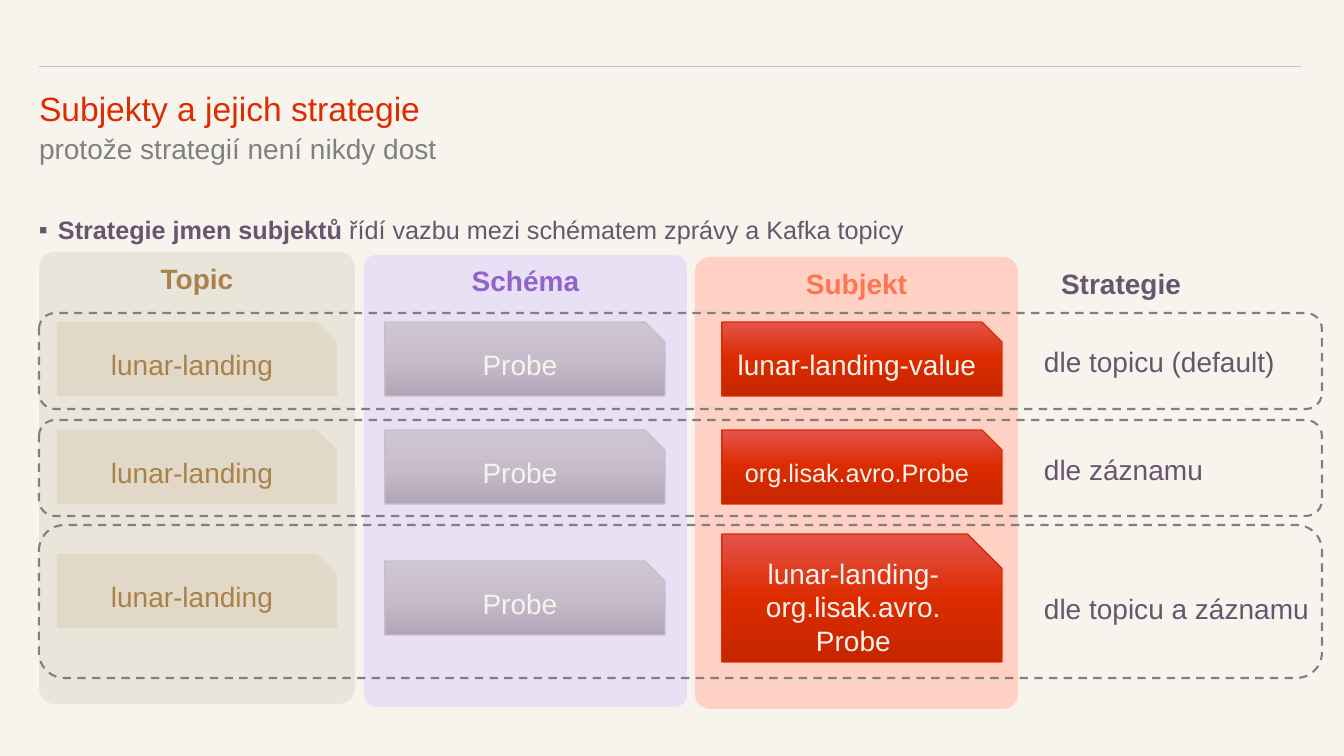
"""Build the slide on subject naming strategies."""
import copy
import pptx
import pptx.util
import pptx.dml.color
import pptx.enum.dml
import pptx.enum.shapes
import pptx.enum.text
import pptx.oxml
import pptx.oxml.ns

PAPER, INK, GREY, RED = "F7F3ED", "67566E", "808080", "DD2C00"
TITLE = [("Subjekty a jejich strategie", 24, RED),
         ("protože strategií není nikdy dost", 20, GREY)]
POINT = [("Strategie jmen subjektů", True),
         (" řídí vazbu mezi schématem zprávy a Kafka topicy", False)]
COLS = [
    dict(name="Topic", box=(39, 252, 316, 452), adj=0.05, ink="A8824A", fill="CFC5B4", alpha=30),
    dict(name="Schéma", box=(364, 255, 323, 452), adj=0.038, ink="9064CB", fill="E8E0F4"),
    dict(name="Subjekt", box=(695, 257, 323, 452), adj=0.046, ink="FF7452", fill="FFD1C5"),
]
CHIPS = [
    dict(left=57, ink="A8824A", fill="D2BB99", alpha=30),
    dict(left=385, ink=PAPER, fill=["CEC6D2", "C7BCCC", "B2A6B6"], edge="C7BDCB"),
    dict(left=722, ink=PAPER, fill=["E3534B", "DD2B00", "C42600"], edge="DD2B00"),
]
ROWS = [
    dict(top=313, high=96, label="dle topicu (default)", mid=361, wide=233,
         chips=[("lunar-landing", 20, 322, 74), ("Probe", 20, 322, 74),
                ("lunar-landing-value", 20, 322, 74)]),
    dict(top=420, high=96, label="dle záznamu", mid=469, wide=160,
         chips=[("lunar-landing", 20, 430, 74), ("Probe", 20, 430, 74),
                ("org.lisak.avro.Probe", 18, 430, 74)]),
    dict(top=525, high=153, label="dle topicu a záznamu", mid=608, wide=267,
         chips=[("lunar-landing", 20, 554, 74), ("Probe", 20, 561, 74),
                ("lunar-landing-org.lisak.avro.\vProbe", 20, 534, 128)]),
]
HEAD = ("Strategie", 1061, 283, 121)
LABEL_X, LABEL_H, CHIP_W = 1044, 34, 280
ROW_X, ROW_W = 39, 1283
SHAPE = pptx.enum.shapes.MSO_SHAPE
ALIGN = pptx.enum.text.PP_ALIGN
ANCHOR = pptx.enum.text.MSO_ANCHOR
Pt = pptx.util.Pt


def px(num):
    return pptx.util.Emu(round(num * 914400 / 100.8))


def tint(code):
    return pptx.dml.color.RGBColor.from_string(code)


def put(item, values):
    for name, value in values.items():
        setattr(item, name, value)


def node(tag, **attrs):
    part = pptx.oxml.parse_xml(f"<a:{tag} {pptx.oxml.ns.nsdecls('a')}/>")
    for name, value in attrs.items():
        part.set(name, str(value))
    return part


def style(para, size, ink, bold=False):
    for run in para.runs:
        put(run.font, dict(name="Arial", size=Pt(size), bold=bold))
        run.font.color.rgb = tint(ink)


def paint(shape, fill, alpha=None):
    if fill is None:
        shape.fill.background()
    elif isinstance(fill, list):
        shape.fill.gradient()
        shape.fill.gradient_angle = 270
        stops = shape.element.spPr.find(".//" + pptx.oxml.ns.qn("a:gsLst"))
        stops.append(copy.deepcopy(stops[0]))
        for num, stop in enumerate(shape.fill.gradient_stops):
            stop.position = num / 2
            stop.color.rgb = tint(fill[num])
    else:
        shape.fill.solid()
        shape.fill.fore_color.rgb = tint(fill)
        if alpha:
            color = shape.element.spPr.find(".//" + pptx.oxml.ns.qn("a:srgbClr"))
            color.append(node("alpha", val=alpha * 1000))


def block(shapes, kind, box, fill=None, alpha=None, edge=None, weight=1, adj=None):
    shape = shapes.add_shape(kind, *map(px, box))
    shape.shadow.inherit = False
    if adj:
        shape.adjustments[0] = adj
    paint(shape, fill, alpha)
    if edge:
        shape.line.color.rgb = tint(edge)
        shape.line.width = Pt(weight)
    else:
        shape.line.fill.background()
    return shape


def center(shape, text, size, ink, bold=False, anchor=ANCHOR.MIDDLE):
    put(shape.text_frame, dict(word_wrap=True, vertical_anchor=anchor))
    para = shape.text_frame.paragraphs[0]
    put(para, dict(text=text, alignment=ALIGN.CENTER))
    style(para, size, ink, bold)


def label(shapes, box, wrap=True, anchor=ANCHOR.TOP):
    frame = shapes.add_textbox(*map(px, box)).text_frame
    put(frame, dict(word_wrap=wrap, vertical_anchor=anchor, margin_left=0,
                    margin_right=0, margin_top=0, margin_bottom=0))
    return frame


def tag(shapes, text, left, mid, wide, bold=False):
    frame = label(shapes, (left, mid - LABEL_H / 2, wide, LABEL_H), False, ANCHOR.BOTTOM)
    frame.text = text
    style(frame.paragraphs[0], 20, INK, bold)


def draw_top(shapes):
    rule = shapes.add_connector(pptx.enum.shapes.MSO_CONNECTOR.STRAIGHT,
                                px(1301), px(67), px(39), px(67))
    rule.line.color.rgb = tint("C7BDCB")
    rule.line.width = Pt(0.7)
    rule.element.spPr.append(node("effectLst"))
    frame = label(shapes, (39, 92, 632, 71))
    for num, (text, size, ink) in enumerate(TITLE):
        para = frame.add_paragraph() if num else frame.paragraphs[0]
        put(para, dict(text=text, line_spacing=Pt(26)))
        style(para, size, ink)
    para = label(shapes, (39, 184, 951, 51)).paragraphs[0]
    para.line_spacing = 2.0
    props = para._p.get_or_add_pPr()
    put_in = dict(marL=px(19), indent=px(-19))
    for name, value in put_in.items():
        props.set(name, str(value))
    props.append(node("buFont", typeface="Arial"))
    props.append(node("buChar", char="▪"))
    for text, bold in POINT:
        run = para.add_run()
        run.text = text
        put(run.font, dict(name="Arial", size=Pt(18), bold=bold))
        run.font.color.rgb = tint(INK)


def draw_row(shapes, row):
    for chip, (text, size, top, high) in zip(CHIPS, row["chips"]):
        shape = block(shapes, SHAPE.SNIP_1_RECTANGLE, (chip["left"], top, CHIP_W, high),
                      chip["fill"], chip.get("alpha"), chip.get("edge"), adj=0.27)
        center(shape, text, size, chip["ink"])
    tag(shapes, row["label"], LABEL_X, row["mid"], row["wide"])
    frame = block(shapes, SHAPE.ROUNDED_RECTANGLE, (ROW_X, row["top"], ROW_W, row["high"]),
                  edge=GREY, weight=1.5)
    frame.line.dash_style = pptx.enum.dml.MSO_LINE.DASH


def main():
    deck = pptx.Presentation()
    put(deck, dict(slide_width=px(1344), slide_height=px(756)))
    slide = deck.slides.add_slide(deck.slide_layouts[6])
    slide.background.fill.solid()
    slide.background.fill.fore_color.rgb = tint(PAPER)
    for col in COLS:
        shape = block(slide.shapes, SHAPE.ROUNDED_RECTANGLE, col["box"], col["fill"],
                      col.get("alpha"), adj=col["adj"])
        center(shape, col["name"], 20, col["ink"], True, ANCHOR.TOP)
    draw_top(slide.shapes)
    tag(slide.shapes, *HEAD, bold=True)
    for row in ROWS:
        draw_row(slide.shapes.add_group_shape().shapes, row)
    deck.save("out.pptx")


if __name__ == "__main__":
    main()
